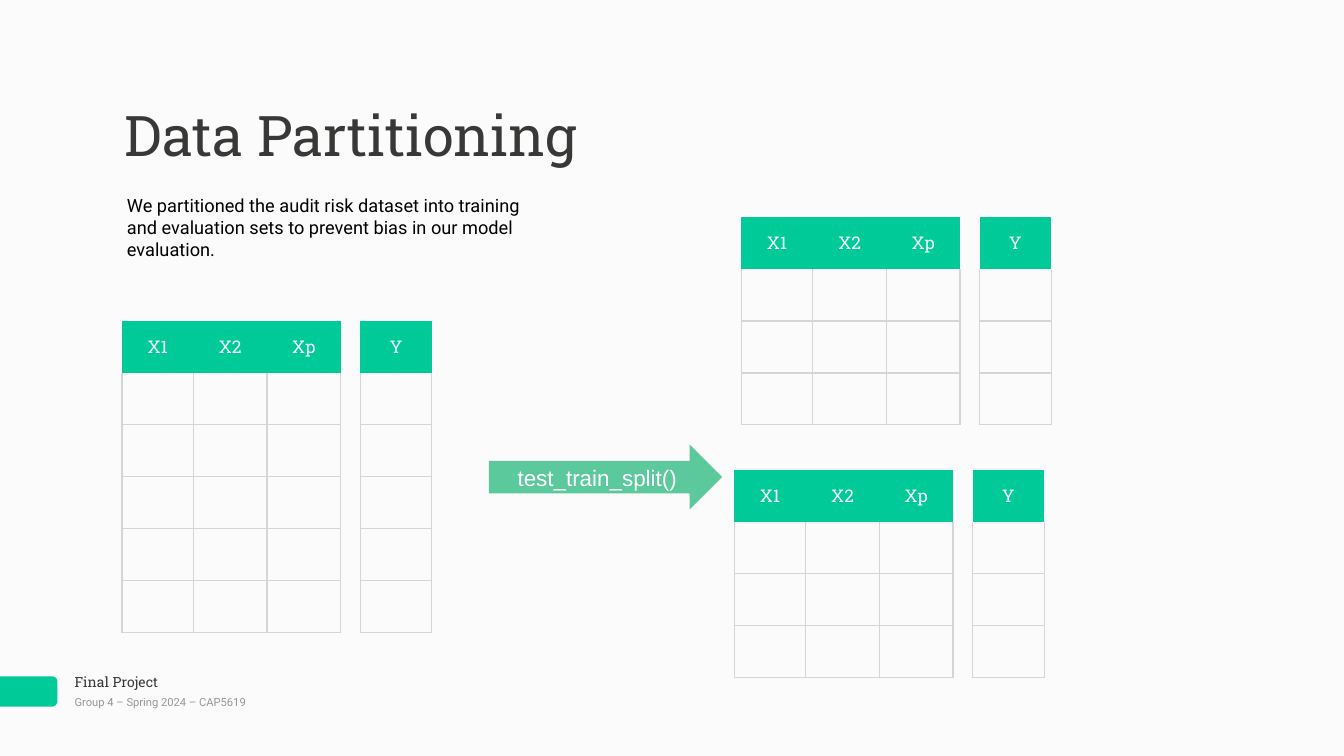
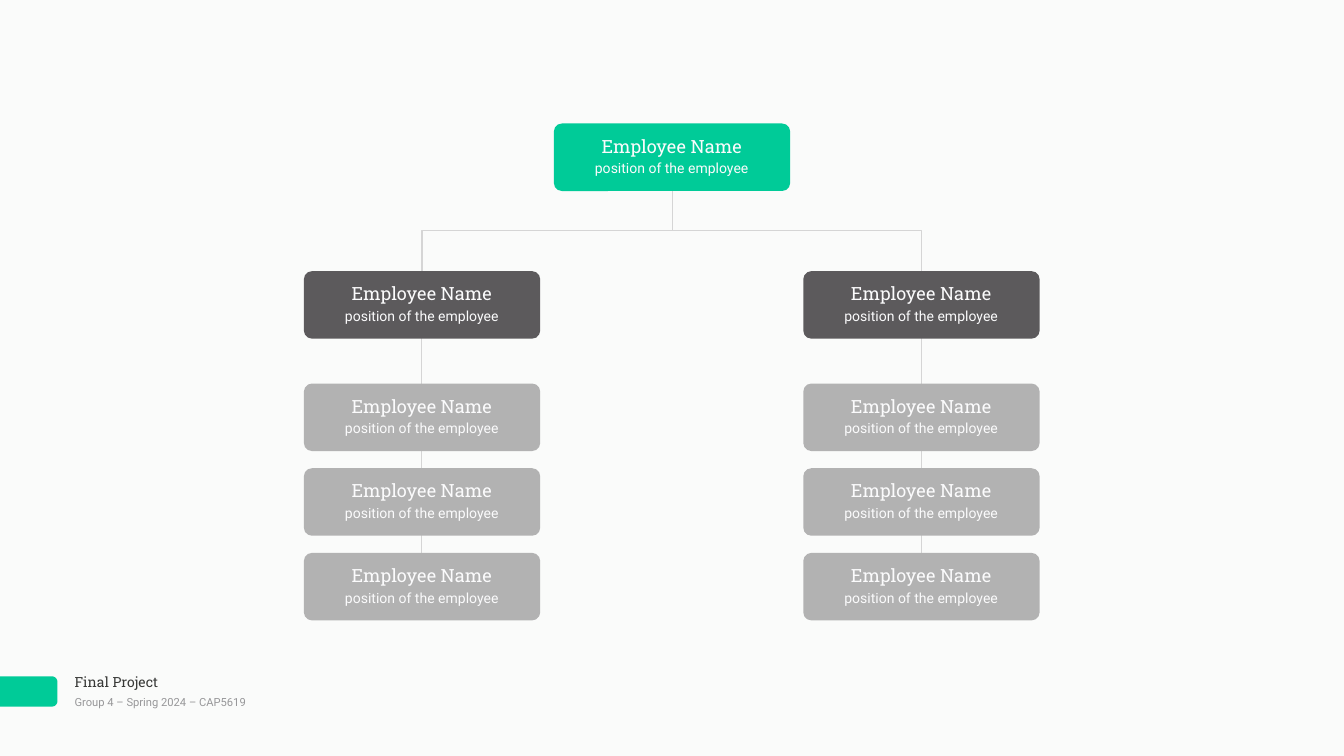
from dataclasses import dataclass
from math import cos, pi, sin

from lxml.etree import SubElement
from pptx import Presentation
from pptx.dml.color import RGBColor
from pptx.enum.shapes import MSO_CONNECTOR as Connector, MSO_SHAPE as Preset
from pptx.enum.text import MSO_ANCHOR as Anchor, MSO_AUTO_SIZE as AutoSize, PP_ALIGN as Align
from pptx.oxml.ns import qn
from pptx.oxml.xmlchemy import OxmlElement
from pptx.util import Inches, Pt


# Colours, fonts and type sizes
@dataclass(frozen=True)
class Theme:
    background: str = "FAFBFA"
    green: str = "00CB98"
    arrow: str = "5CC99C"
    dark: str = "5C5A5C"
    grey: str = "B2B2B2"
    rule: str = "D5D5D5"
    heading: str = "383937"
    muted: str = "979799"
    black: str = "000000"
    light: str = "FBFBFC"
    white: str = "FFFFFF"
    slab: str = "Roboto Slab"
    sans: str = "Roboto"
    plain: str = "Arial"
    title_size: int = 80
    call_size: int = 32
    body_size: int = 26
    header_size: int = 25
    label_size: int = 20
    footer_size: int = 16
    rule_width: int = 2
    inset: float = 0.06


def set_all(target, values):
    for name, value in values.items():
        setattr(target, name, value)


class SlideBuilder:
    TITLE_ONLY, BLANK = 5, 6

    def __init__(self, deck, theme):
        self.deck, self.theme, self.page = deck, theme, None
        self.paint(deck.slide_master.background.fill, theme.background)

    def paint(self, fill, color):
        fill.solid()
        fill.fore_color.rgb = RGBColor.from_string(color)

    def start_page(self, layout):
        self.page = self.deck.slides.add_slide(self.deck.slide_layouts[layout])
        self.footer()

    # Text
    def add_words(self, para, words, font, size, color, align):
        para.alignment = align
        span = para.add_run()
        span.text = words
        set_all(span.font, {"name": font, "size": Pt(size)})
        span.font.color.rgb = RGBColor.from_string(color)

    def set_insets(self, target, inset, vertical=None):
        vertical = inset if vertical is None else vertical
        set_all(target, {
            "margin_left": Inches(inset), "margin_right": Inches(inset),
            "margin_top": Inches(vertical), "margin_bottom": Inches(vertical),
        })

    def fill_frame(self, frame, words, font, size, color, align=Align.LEFT,
                   anchor=Anchor.TOP, grow=True):
        set_all(frame, {
            "word_wrap": True,
            "vertical_anchor": anchor,
            "auto_size": AutoSize.SHAPE_TO_FIT_TEXT if grow else AutoSize.NONE,
        })
        self.set_insets(frame, self.theme.inset)
        self.add_words(frame.paragraphs[0], words, font, size, color, align)

    def text(self, left, top, width, height, words, *style, **options):
        box = self.page.shapes.add_textbox(
            Inches(left), Inches(top), Inches(width), Inches(height))
        self.fill_frame(box.text_frame, words, *style, **options)
        return box

    def title(self, left, top, width, height, words):
        box = self.page.shapes.title
        set_all(box, {"left": Inches(left), "top": Inches(top),
                      "width": Inches(width), "height": Inches(height)})
        theme = self.theme
        self.fill_frame(box.text_frame, words, theme.slab, theme.title_size, theme.heading)

    # Shapes and lines
    def shape(self, preset, left, top, width, height, color):
        shape = self.page.shapes.add_shape(
            preset, Inches(left), Inches(top), Inches(width), Inches(height))
        shape.shadow.inherit = False
        self.paint(shape.fill, color)
        shape.line.fill.background()
        return shape

    def outline(self, points, close):
        corners = [(Inches(x), Inches(y)) for x, y in points]
        builder = self.page.shapes.build_freeform(*corners[0])
        builder.add_line_segments(corners[1:], close=close)
        shape = builder.convert_to_shape()
        shape.shadow.inherit = False
        return shape

    def stroke(self, line):
        self.paint(line.fill, self.theme.rule)
        line.width = Pt(self.theme.rule_width)

    def bracket(self, points):
        shape = self.outline(points, close=False)
        shape.fill.background()
        self.stroke(shape.line)

    def upright(self, x, top, bottom):
        connector = self.page.shapes.add_connector(
            Connector.STRAIGHT, Inches(x), Inches(bottom), Inches(x), Inches(top))
        self.stroke(connector.line)
        SubElement(connector._element.spPr, qn("a:effectLst"))

    # Footer with a tab rounded on its right side
    def footer(self):
        theme = self.theme
        self.text(1.42, 13.3, 3.19, 0.45, "Final Project",
                  theme.slab, theme.label_size, theme.heading)
        self.text(1.42, 13.73, 4.72, 0.38, "Group 4 – Spring 2024 – CAP5619",
                  theme.sans, theme.footer_size, theme.muted, anchor=Anchor.MIDDLE)
        left, top, right, bottom, radius, steps = -0.1, 13.42, 1.14, 14.02, 0.11, 6
        points = [(left, bottom), (left, top)]
        for center_y, start in ((top + radius, -pi / 2), (bottom - radius, 0)):
            for step in range(steps + 1):
                angle = start + step * pi / 2 / steps
                points.append((right - radius + radius * cos(angle),
                               center_y + radius * sin(angle)))
        tab = self.outline(points, close=True)
        self.paint(tab.fill, theme.green)
        tab.line.fill.background()

    # Tables
    def borders(self, cell, ruled):
        props = cell._tc.get_or_add_tcPr()
        for index, side in enumerate(("lnL", "lnR", "lnT", "lnB")):
            line = OxmlElement(f"a:{side}")
            if side in ruled:
                line.set("w", str(Pt(self.theme.rule_width)))
                fill = SubElement(line, qn("a:solidFill"))
                SubElement(fill, qn("a:srgbClr")).set("val", self.theme.rule)
            else:
                SubElement(line, qn("a:noFill"))
            props.insert(index, line)

    def table(self, left, top, headers, body_rows):
        widths = [1.42] + [1.46] * (len(headers) - 1)
        row_height = 1.03
        rows = body_rows + 1
        table = self.page.shapes.add_table(
            rows, len(headers), Inches(left), Inches(top),
            Inches(sum(widths)), Inches(row_height * rows)).table
        set_all(table, {"first_row": False, "horz_banding": False})
        for column, width in zip(table.columns, widths):
            column.width = Inches(width)
        for number, row in enumerate(table.rows):
            row.height = Inches(row_height)
            for cell, header in zip(row.cells, headers):
                if number == 0:
                    self.header_cell(cell, header)
                else:
                    cell.fill.background()
                    top_rule = ["lnT"] if number > 1 else []
                    self.borders(cell, ["lnL", "lnR", "lnB"] + top_rule)

    def header_cell(self, cell, header):
        theme = self.theme
        self.paint(cell.fill, theme.green)
        self.borders(cell, [])
        cell.vertical_anchor = Anchor.MIDDLE
        self.set_insets(cell, theme.inset)
        self.add_words(cell.text_frame.paragraphs[0], header,
                       theme.slab, theme.header_size, theme.light, Align.CENTER)

    def dataset(self, left, top, body_rows):
        """Feature table with its target column to the right."""
        self.table(left, top, ["X1", "X2", "Xp"], body_rows)
        self.table(left + 4.73, top, ["Y"], body_rows)

    # Organisation chart card
    def card(self, left, top, color):
        theme = self.theme
        card = self.shape(Preset.ROUNDED_RECTANGLE, left, top, 4.69, 1.34, color)
        card.adjustments[0] = 0.12
        lines = (
            (0.17, 0.58, "Employee Name", theme.slab, theme.body_size),
            (0.66, 0.44, "position of the employee", theme.sans, theme.label_size),
        )
        for drop, height, words, font, size in lines:
            self.text(left + 0.56, top + drop, 3.56, height, words,
                      font, size, theme.light, align=Align.CENTER)


def partitioning_slide(builder):
    theme = builder.theme
    builder.start_page(builder.TITLE_ONLY)
    builder.title(2.42, 1.94, 10.48, 1.46, "Data Partitioning")

    # Full data set, then the two parts it is split into
    for left, top, body_rows in ((2.42, 6.37, 5), (14.71, 4.31, 3), (14.57, 9.32, 3)):
        builder.dataset(left, top, body_rows)

    arrow = builder.shape(Preset.RIGHT_ARROW, 9.7, 8.82, 4.63, 1.29, theme.arrow)
    builder.fill_frame(arrow.text_frame, "test_train_split()", theme.plain, theme.call_size,
                       theme.white, Align.CENTER, Anchor.MIDDLE, grow=False)

    summary = builder.text(
        2.42, 3.81, 8.61, 1.41,
        "We partitioned the audit risk dataset into training and evaluation sets "
        "to prevent bias in our model evaluation.",
        theme.sans, theme.body_size, theme.black)
    builder.set_insets(summary.text_frame, 0.1, 0.05)


def organisation_slide(builder):
    theme = builder.theme
    builder.start_page(builder.BLANK)

    # Branch from the head of the chart to both managers
    branch_y, manager_y = 4.57, 5.38
    branches = ((6.03, 8.37), (15.94, 18.29))
    (_, left_x), (_, right_x) = branches
    builder.bracket([(left_x, 5.45), (left_x, branch_y),
                     (right_x, branch_y), (right_x, 5.45)])
    builder.upright(13.35, 3.69, branch_y)
    builder.card(10.99, 2.45, theme.green)

    # Each manager with a team of three
    for card_x, line_x in branches:
        builder.upright(line_x, 6.14, 11.11)
        builder.card(card_x, manager_y, theme.dark)
        for member in range(3):
            builder.card(card_x, 7.61 + 1.68 * member, theme.grey)


def main():
    deck = Presentation()
    set_all(deck, {"slide_width": Inches(26.67), "slide_height": Inches(15)})
    builder = SlideBuilder(deck, Theme())
    partitioning_slide(builder)
    organisation_slide(builder)
    deck.save("out.pptx")


if __name__ == "__main__":
    main()
